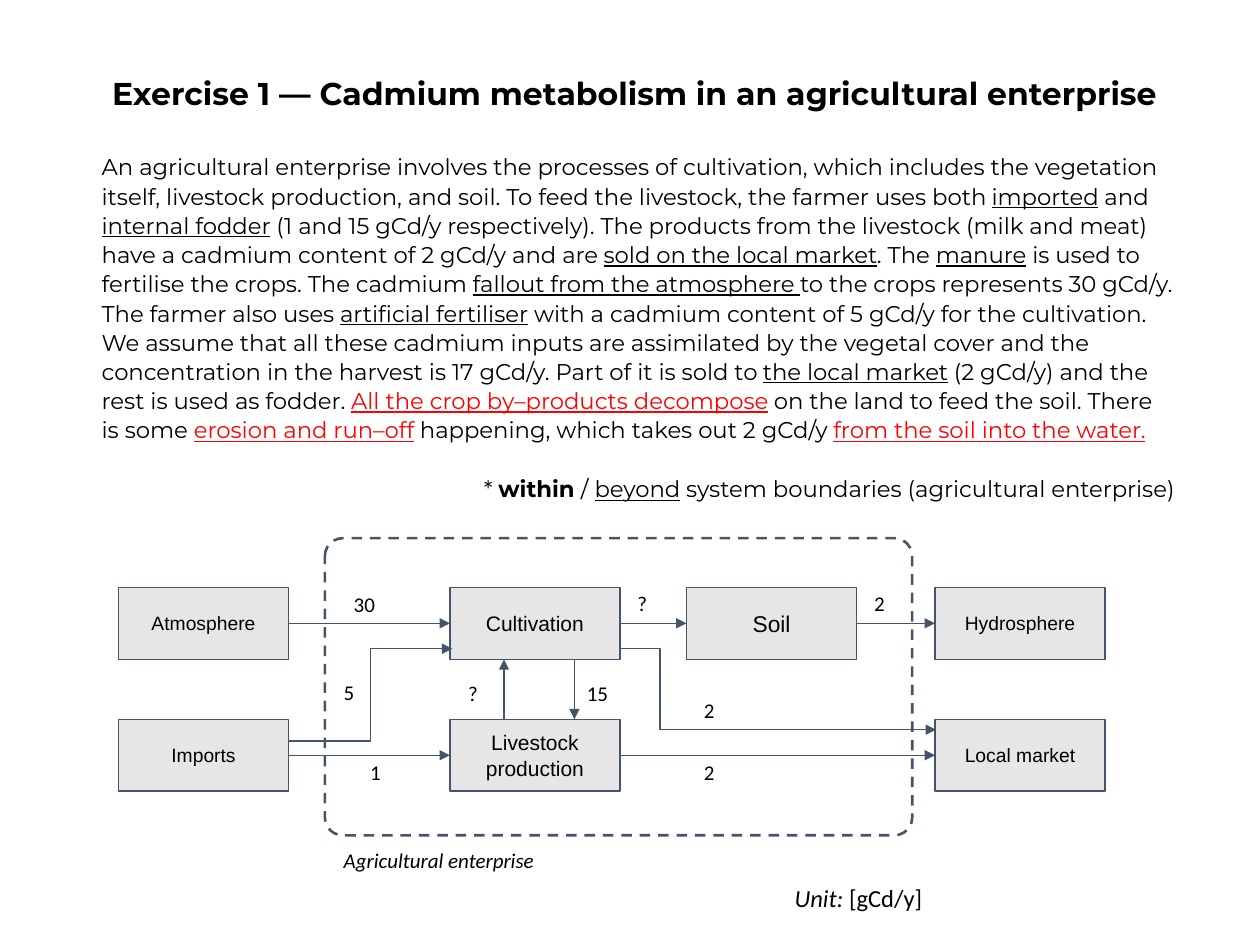
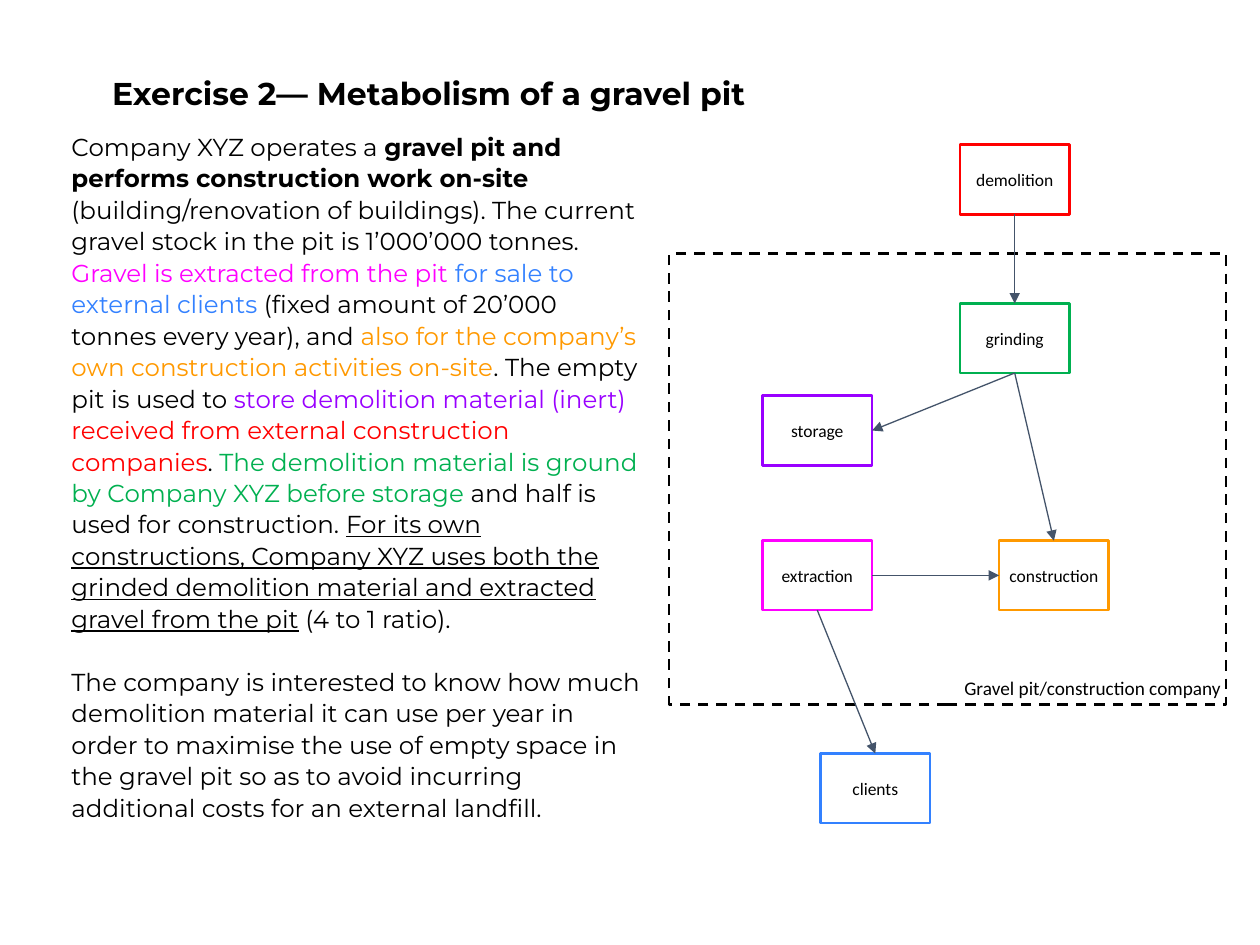
from typing import NamedTuple

from lxml.etree import SubElement
from pptx import Presentation
from pptx.dml.color import RGBColor as Rgb
from pptx.enum.dml import MSO_LINE
from pptx.enum.shapes import MSO_CONNECTOR as Conn, MSO_SHAPE as Geom
from pptx.enum.text import MSO_ANCHOR as Anchor, MSO_AUTO_SIZE as Auto, PP_ALIGN as Align
from pptx.oxml.ns import qn
from pptx.util import Cm, Pt

# Shared colours and fonts
BLACK = Rgb(0x00, 0x00, 0x00)
RED = Rgb(0xFF, 0x00, 0x00)
PINK = Rgb(0xFF, 0x00, 0xFF)
BLUE = Rgb(0x33, 0x81, 0xFF)
ORANGE = Rgb(0xFF, 0x99, 0x00)
PURPLE = Rgb(0x99, 0x00, 0xFF)
GREEN = Rgb(0x00, 0xB0, 0x50)
SLATE = Rgb(0x44, 0x54, 0x6A)
GREY = Rgb(0xE7, 0xE6, 0xE6)
HEAD, SANS, NOTE = "Montserrat", "Arial", "Calibri"

# Connection sites of a rectangle
TOP, LEFT, BOTTOM, RIGHT = range(4)


class Run(NamedTuple):
    text: str
    color: Rgb = BLACK
    bold: bool = False
    italic: bool = False
    under: bool = False


class Area(NamedTuple):
    left: float
    top: float
    width: float
    height: float

    def cm(self) -> list:
        return [Cm(v) for v in self]


class Box(NamedTuple):
    text: str
    area: Area
    size: float
    font: str
    line: Rgb = SLATE
    weight: float = 0.75
    fill: Rgb | None = None


class Label(NamedTuple):
    runs: list
    area: Area
    size: float = 12
    align: Align = Align.LEFT


def under(text: str, color: Rgb = BLACK) -> Run:
    return Run(text, color, under=True)


def write(par, runs: list, font: str, size: float) -> None:
    for item in runs:
        run = par.add_run()
        run.text = item.text
        run.font.name = font
        run.font.size = Pt(size)
        run.font.color.rgb = item.color
        run.font.bold = item.bold
        run.font.italic = item.italic
        run.font.underline = item.under


def frame(shape, side: float, edge: float, anchor=Anchor.TOP):
    text = shape.text_frame
    text.word_wrap = True
    text.auto_size = Auto.NONE
    text.vertical_anchor = anchor
    text.margin_left = text.margin_right = Cm(side)
    text.margin_top = text.margin_bottom = Cm(edge)
    return text


def place(shape, area: Area) -> None:
    shape.left, shape.top, shape.width, shape.height = area.cm()


def start(deck, title: str, area: Area, paras: list, size: float, gap: float):
    """Add a slide with its title and its exercise text."""
    slide = deck.slides.add_slide(deck.slide_layouts[1])
    head, body = slide.shapes.title, slide.placeholders[1]
    place(head, Area(2.01, 1.24, 21.72, 1.4))
    par = frame(head, 0.25, 0.25).paragraphs[0]
    par.alignment = Align.LEFT
    write(par, [Run(title, bold=True)], HEAD, 18)

    place(body, area)
    text = frame(body, 0.25, 0.13)
    for i, (align, runs) in enumerate(paras):
        par = text.add_paragraph() if i else text.paragraphs[0]
        par.alignment = align
        par.line_spacing = 1.07
        par.space_before = Pt(gap if i else 0)
        props = par._p.get_or_add_pPr()
        props.set("marL", "0")
        props.set("indent", "0")
        SubElement(props, qn("a:buNone"))
        write(par, runs, HEAD, size)
    return slide


def draw(slide, geom: Geom, area: Area, line: Rgb, weight: float):
    shape = slide.shapes.add_shape(geom, *area.cm())
    shape.shadow.inherit = False
    shape.fill.background()
    shape.line.color.rgb = line
    shape.line.width = Pt(weight)
    return shape


def bound(slide, geom: Geom, area: Area, line: Rgb):
    shape = draw(slide, geom, area, line, 1.5)
    shape.line.dash_style = MSO_LINE.DASH
    return shape


def add_box(slide, box: Box):
    shape = draw(slide, Geom.RECTANGLE, box.area, box.line, box.weight)
    if box.fill is not None:
        shape.fill.solid()
        shape.fill.fore_color.rgb = box.fill
    par = frame(shape, 0, 0, Anchor.MIDDLE).paragraphs[0]
    par.alignment = Align.CENTER
    write(par, [Run(box.text)], box.font, box.size)
    return shape


def add_label(slide, label: Label) -> None:
    shape = slide.shapes.add_textbox(*label.area.cm())
    par = frame(shape, 0.25, 0.25).paragraphs[0]
    par.alignment = label.align
    write(par, label.runs, NOTE, label.size)


def arrow(slide, x1=0.0, y1=0.0, x2=0.0, y2=0.0, bend: float | None = None):
    """Draw an arrow; bend is the share of its width before the elbow."""
    kind = Conn.STRAIGHT if bend is None else Conn.ELBOW
    conn = slide.shapes.add_connector(kind, Cm(x1), Cm(y1), Cm(x2), Cm(y2))
    conn.line.color.rgb = SLATE
    conn.line.width = Pt(0.75)
    props = conn._element.spPr
    SubElement(props.find(qn("a:ln")), qn("a:tailEnd"), type="triangle")
    SubElement(props, qn("a:effectLst"))
    if bend is not None:
        geom = props.find(qn("a:prstGeom"))
        values = geom.find(qn("a:avLst"))
        if values is None:
            values = SubElement(geom, qn("a:avLst"))
        SubElement(values, qn("a:gd"), name="adj1", fmla=f"val {round(bend * 100000)}")
    return conn


def link(slide, tail, exit_: int, tip, entry: int) -> None:
    conn = arrow(slide)
    conn.begin_connect(tail, exit_)
    conn.end_connect(tip, entry)


def cadmium(deck) -> None:
    story = [
        Run("An agricultural enterprise involves the processes of cultivation, which includes "
            "the vegetation itself, livestock production, and soil. To feed the livestock, "
            "the farmer uses both "),
        under("imported"), Run(" and "), under("internal fodder"),
        Run(" (1 and 15 gCd/y respectively). The products from the livestock (milk and meat) "
            "have a cadmium content of 2 gCd/y and are "),
        under("sold on the local market"), Run(". The "), under("manure"),
        Run(" is used to fertilise the crops. The cadmium "),
        under("fallout from the atmosphere "),
        Run("to the crops represents 30 gCd/y. The farmer also uses "),
        under("artificial fertiliser"),
        Run(" with a cadmium content of 5 gCd/y for the cultivation. We assume that all these "
            "cadmium inputs are assimilated by the vegetal cover and the concentration in the "
            "harvest is 17 gCd/y. Part of it is sold to "),
        under("the local market"),
        Run(" (2 gCd/y) and the rest is used as fodder. "),
        under("All the crop by–products decompose", RED),
        Run(" on the land to feed the soil. There is some "),
        under("erosion and run–off", RED),
        Run(" happening, which takes out 2 gCd/y "),
        under("from the soil into the water.", RED),
    ]
    key = [Run("* "), Run("within ", bold=True), Run("/ "), under("beyond"),
           Run(" system boundaries (agricultural enterprise)")]
    slide = start(deck, "Exercise 1 — Cadmium metabolism in an agricultural enterprise",
                  Area(1.8, 2.92, 22.12, 9.75),
                  [(Align.LEFT, story), (Align.RIGHT, key)], 13, 17)

    # System boundary
    edge = bound(slide, Geom.ROUNDED_RECTANGLE, Area(6.55, 10.85, 11.84, 5.99), SLATE)
    edge.adjustments[0] = 0.06

    # Processes on a grid of four columns and two rows
    cols, rows = (2.39, 9.07, 13.84, 18.85), (11.84, 14.5)
    grid = [
        ("Atmosphere", 0, 0, 11), ("Cultivation", 1, 0, 12), ("Soil", 2, 0, 13),
        ("Hydrosphere", 3, 0, 11), ("Imports", 0, 1, 11),
        ("Livestock production", 1, 1, 12), ("Local market", 3, 1, 11),
    ]
    nodes = [add_box(slide, Box(text, Area(cols[c], rows[r], 3.43, 1.45), size, SANS, fill=GREY))
             for text, c, r, size in grid]
    air, crop, soil, water, goods, stock, shop = nodes

    # Flows along the rows, between the rows, and around corners
    for tail, tip in ((air, crop), (crop, soil), (soil, water), (goods, stock), (stock, shop)):
        link(slide, tail, RIGHT, tip, LEFT)
    arrow(slide, 11.58, 13.29, 11.58, 14.5)
    arrow(slide, 10.16, 14.5, 10.16, 13.29)
    arrow(slide, 5.82, 14.94, 9.12, 13.08, bend=0.5)
    arrow(slide, 12.5, 13.08, 18.87, 14.71, bend=0.127)

    # Flow values
    for text, x, y in (
        ("30", 6.88, 11.68), ("?", 12.6, 11.66), ("2", 17.37, 11.66),
        ("5", 6.68, 13.44), ("?", 9.19, 13.46), ("15", 11.58, 13.46),
        ("2", 13.94, 13.82), ("1", 7.21, 15.06), ("2", 13.94, 15.06),
    ):
        add_label(slide, Label([Run(text)], Area(x, y, 1.12, 0.89)))

    # Captions
    add_label(slide, Label([Run("Agricultural enterprise", italic=True)],
                           Area(6.68, 16.84, 5.66, 0.86)))
    add_label(slide, Label([Run("Unit:", italic=True), Run(" [gCd/y]")],
                           Area(15.77, 17.55, 3.15, 1.22), 14))


def gravel(deck) -> None:
    story = [
        Run("Company XYZ operates a "),
        Run("gravel pit and performs construction work on-site", bold=True),
        Run(" (building/renovation of buildings). The current gravel stock in the pit is "
            "1’000’000 tonnes. "),
        Run("Gravel is extracted from the pit ", PINK),
        Run("for sale to external clients", BLUE),
        Run(" (fixed amount of 20’000 tonnes every year), and "),
        Run("also for the company’s own construction activities on-site", ORANGE),
        Run(". The empty pit is used to"),
        Run(" store demolition material (inert) ", PURPLE),
        Run("received from external construction companies", RED),
        Run(". "),
        Run("The demolition material is ground by Company XYZ before storage", GREEN),
        Run(" and half is used for construction. "),
        under("For its own constructions, Company XYZ uses both the grinded demolition "
              "material and extracted gravel from the pit"),
        Run(" (4 to 1 ratio)."),
    ]
    goal = [Run("The company is interested to know how much demolition material it can use per "
                "year in order to maximise the use of empty space in the gravel pit so as to "
                "avoid incurring additional costs for an external landfill.")]
    slide = start(deck, "Exercise 2— Metabolism of a gravel pit",
                  Area(1.19, 2.49, 12.07, 14.1),
                  [(Align.LEFT, story), (Align.LEFT, goal)], 14, 18)

    # Company boundary
    bound(slide, Geom.RECTANGLE, Area(13.49, 5.11, 11.23, 9.09), BLACK)

    # Processes
    steps = [
        ("demolition", 19.35, 2.92, RED), ("grinding", 19.35, 6.12, GREEN),
        ("storage", 15.37, 7.98, PURPLE), ("extraction", 15.37, 10.9, PINK),
        ("construction", 20.14, 10.9, ORANGE), ("clients", 16.54, 15.19, BLUE),
    ]
    nodes = [add_box(slide, Box(text, Area(x, y, 2.21, 1.4), 10, NOTE, color, 1.5))
             for text, x, y, color in steps]
    wreck, grind, store, dig, build, buyer = nodes

    # Material flows
    link(slide, wreck, BOTTOM, grind, TOP)
    link(slide, grind, BOTTOM, store, RIGHT)
    link(slide, grind, BOTTOM, build, TOP)
    link(slide, dig, RIGHT, build, LEFT)
    link(slide, dig, BOTTOM, buyer, TOP)

    add_label(slide, Label([Run("Gravel pit/construction company")],
                           Area(18.69, 13.39, 6.68, 0.99), 11, Align.CENTER))


def main() -> None:
    deck = Presentation()
    deck.slide_width, deck.slide_height = Cm(25.4), Cm(19.05)
    cadmium(deck)
    gravel(deck)
    deck.save("out.pptx")


if __name__ == "__main__":
    main()
